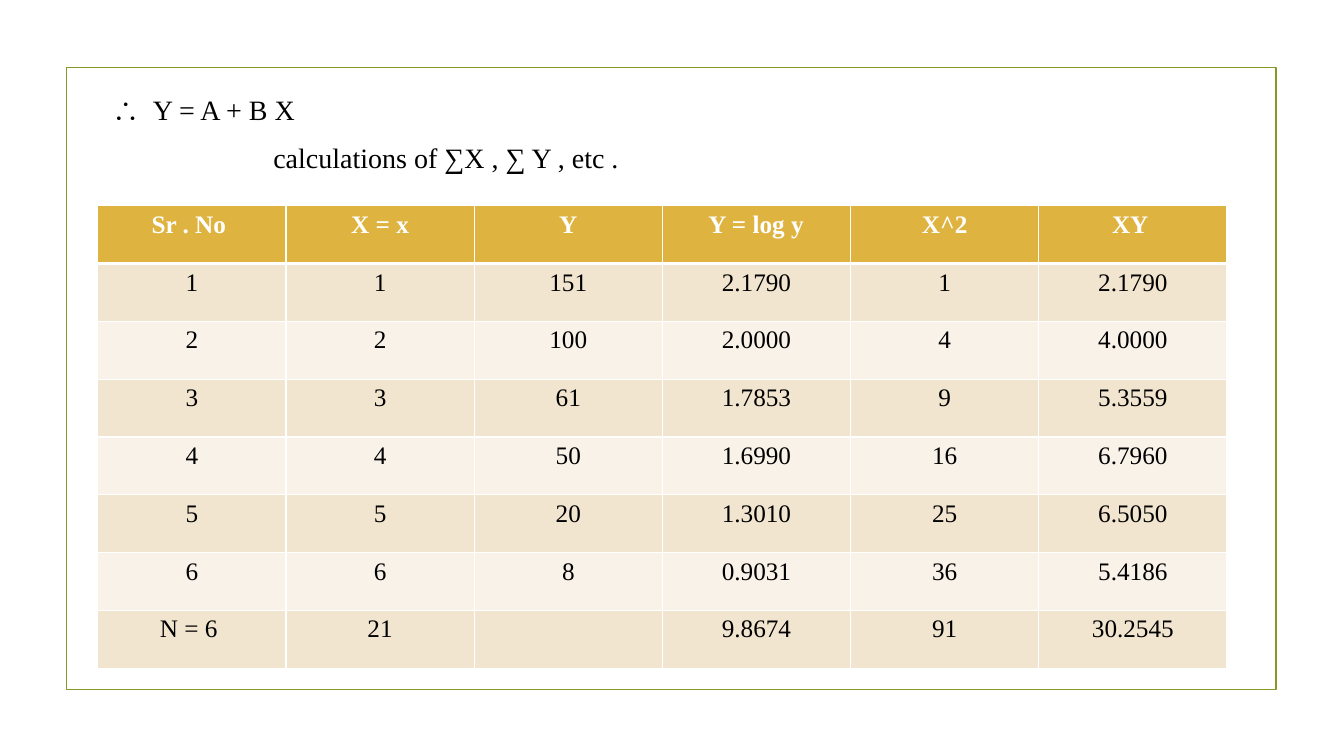
from lxml.etree import SubElement
from pptx import Presentation
from pptx.dml.color import RGBColor
from pptx.enum.shapes import MSO_SHAPE as Shape
from pptx.enum.text import PP_ALIGN as Align
from pptx.oxml.ns import qn
from pptx.util import Inches, Pt

COLORS = {
    "frame": "83992A",
    "header": "DEB340",
    "odd": "F2E5CF",
    "even": "F9F2E8",
    "white": "FFFFFF",
    "black": "000000",
}
FONT = "Times New Roman"
FORMULAS = [
    ("∴  Y = A + B X", 0.07),
    ("calculations of ∑X , ∑ Y , etc .", 1.67),
]
ROWS = [
    ["Sr . No ", "X = x", "Y", " Y = log y ", "X^2", "XY "],
    ["1", "1", "151", "2.1790", "1", "2.1790"],
    ["2", "2", "100", "2.0000", "4", "4.0000"],
    ["3", "3", "61", "1.7853", "9", "5.3559"],
    ["4", "4", "50", "1.6990", "16", "6.7960"],
    ["5", "5", "20", "1.3010", "25", "6.5050"],
    ["6", "6", "8", "0.9031", "36", "5.4186"],
    ["N = 6 ", "21", "", "9.8674", "91", "30.2545"],
]


def style_font(font, size, color, bold=False):
    font.name = FONT
    font.size = Pt(size)
    font.bold = bold
    font.color.rgb = RGBColor.from_string(COLORS[color])


def add_border(cell, side, width):
    line = SubElement(cell._tc.get_or_add_tcPr(), qn(f"a:ln{side}"), w=str(Pt(width)))
    fill = SubElement(line, qn("a:solidFill"))
    SubElement(fill, qn("a:srgbClr"), val=COLORS["white"])


deck = Presentation()
deck.slide_width = Inches(13.33)
deck.slide_height = Inches(7.5)
page = deck.slides.add_slide(deck.slide_layouts[1])
title = page.shapes.title
title.element.getparent().remove(title.element)

body = page.placeholders[1]
body.left, body.top = Inches(0.94), Inches(0.87)
body.width, body.height = Inches(11.43), Inches(5.69)
for index, (text, indent) in enumerate(FORMULAS):
    para = body.text_frame.paragraphs[0] if index == 0 else body.text_frame.add_paragraph()
    para.text = text
    para.space_after = Pt(6)
    properties = para._p.get_or_add_pPr()
    properties.set("marL", str(Inches(indent)))
    properties.set("indent", "0")
    SubElement(properties, qn("a:buNone"))
    style_font(para.font, 20, "black")

frame = page.shapes.add_shape(
    Shape.RECTANGLE, Inches(0.66), Inches(0.67), Inches(12), Inches(6.17)
)
frame.shadow.inherit = False
frame.fill.background()
frame.line.color.rgb = RGBColor.from_string(COLORS["frame"])
frame.line.width = Pt(1.25)
page.shapes._spTree.insert(2, frame.element)

table = page.shapes.add_table(
    len(ROWS), len(ROWS[0]), Inches(0.97), Inches(2.04), Inches(11.2), Inches(4.59)
).table
for row, values in enumerate(ROWS):
    fill_name = "header" if row == 0 else "odd" if row % 2 else "even"
    for column, value in enumerate(values):
        cell = table.cell(row, column)
        for side in "LRTB":
            under_header = (row, side) in [(0, "B"), (1, "T")]
            add_border(cell, side, 3 if under_header else 1)
        cell.fill.solid()
        cell.fill.fore_color.rgb = RGBColor.from_string(COLORS[fill_name])
        cell.text = value
        para = cell.text_frame.paragraphs[0]
        para.alignment = Align.CENTER
        style_font(para.font, 18, "white" if row == 0 else "black", row == 0)

deck.save("out.pptx")
